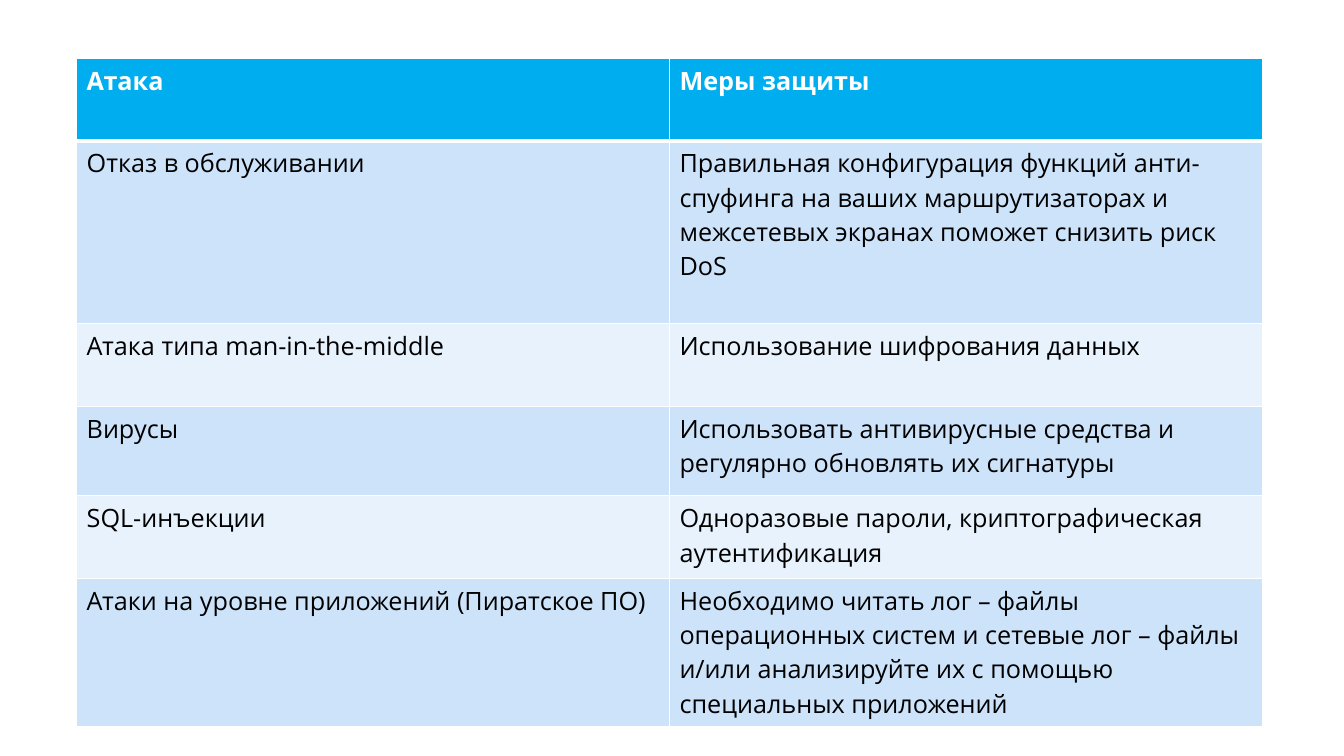
from pptx import Presentation
from pptx.dml.color import RGBColor
from pptx.oxml.ns import qn
from pptx.util import Inches, Pt
from lxml.etree import SubElement

# Each row: height in inches, attack, protective measures
ROWS = [
    (0.82, "Атака", "Меры защиты"),
    (1.81, "Отказ в обслуживании",
     "Правильная конфигурация функций анти-спуфинга на ваших "
     "маршрутизаторах и межсетевых экранах поможет снизить риск DoS"),
    (0.82, "Атака типа man-in-the-middle", "Использование шифрования данных"),
    (0.89, "Вирусы",
     "Использовать антивирусные средства и регулярно обновлять их сигнатуры"),
    (0.82, "SQL-инъекции",
     "Одноразовые пароли, криптографическая аутентификация"),
    (1.47, "Атаки на уровне приложений (Пиратское ПО)",
     "Необходимо читать лог – файлы операционных систем и сетевые лог – файлы "
     "и/или анализируйте их с помощью специальных приложений"),
]
LEFT, TOP, COLUMN_WIDTH, COLUMNS = 0.76, 0.58, 5.88, 2
WHITE, BLACK, HEADER_FILL = "FFFFFF", "000000", "00AEEF"
BAND_FILLS = ["E7F2FC", "CCE3F9"]
FONT = {"name": "Open Sans", "size": Pt(18)}


def color(value):
    """Turn a hex string into a colour."""
    return RGBColor.from_string(value)


def add_borders(cell, widths):
    """Draw white cell borders of the given widths in points."""
    properties = cell._tc.get_or_add_tcPr()
    for side, width in widths.items():
        line = SubElement(properties, qn(f"a:ln{side}"), w=str(Pt(width)))
        fill = SubElement(line, qn("a:solidFill"))
        SubElement(fill, qn("a:srgbClr"), val=WHITE)


def fill_cell(cell, text, row):
    """Write and format one cell according to its row."""
    header = row == 0
    add_borders(cell, {"L": 1, "R": 1, "T": 3 if row == 1 else 1,
                       "B": 3 if header else 1})
    cell.fill.solid()
    cell.fill.fore_color.rgb = color(HEADER_FILL if header else BAND_FILLS[row % 2])
    run = cell.text_frame.paragraphs[0].add_run()
    run.text = text
    for name, value in {**FONT, "bold": header}.items():
        setattr(run.font, name, value)
    run.font.color.rgb = color(WHITE if header else BLACK)


def add_attack_table(slide):
    """Add the table of attacks and protective measures."""
    height = sum(row[0] for row in ROWS)
    table = slide.shapes.add_table(
        len(ROWS), COLUMNS, Inches(LEFT), Inches(TOP),
        Inches(COLUMN_WIDTH * COLUMNS), Inches(height)).table
    for column in table.columns:
        column.width = Inches(COLUMN_WIDTH)
    for row, (row_height, *texts) in enumerate(ROWS):
        table.rows[row].height = Inches(row_height)
        for column, text in enumerate(texts):
            fill_cell(table.cell(row, column), text, row)


presentation = Presentation()
presentation.slide_width, presentation.slide_height = Inches(13.33), Inches(7.5)
add_attack_table(presentation.slides.add_slide(presentation.slide_layouts[6]))
presentation.save("out.pptx")
